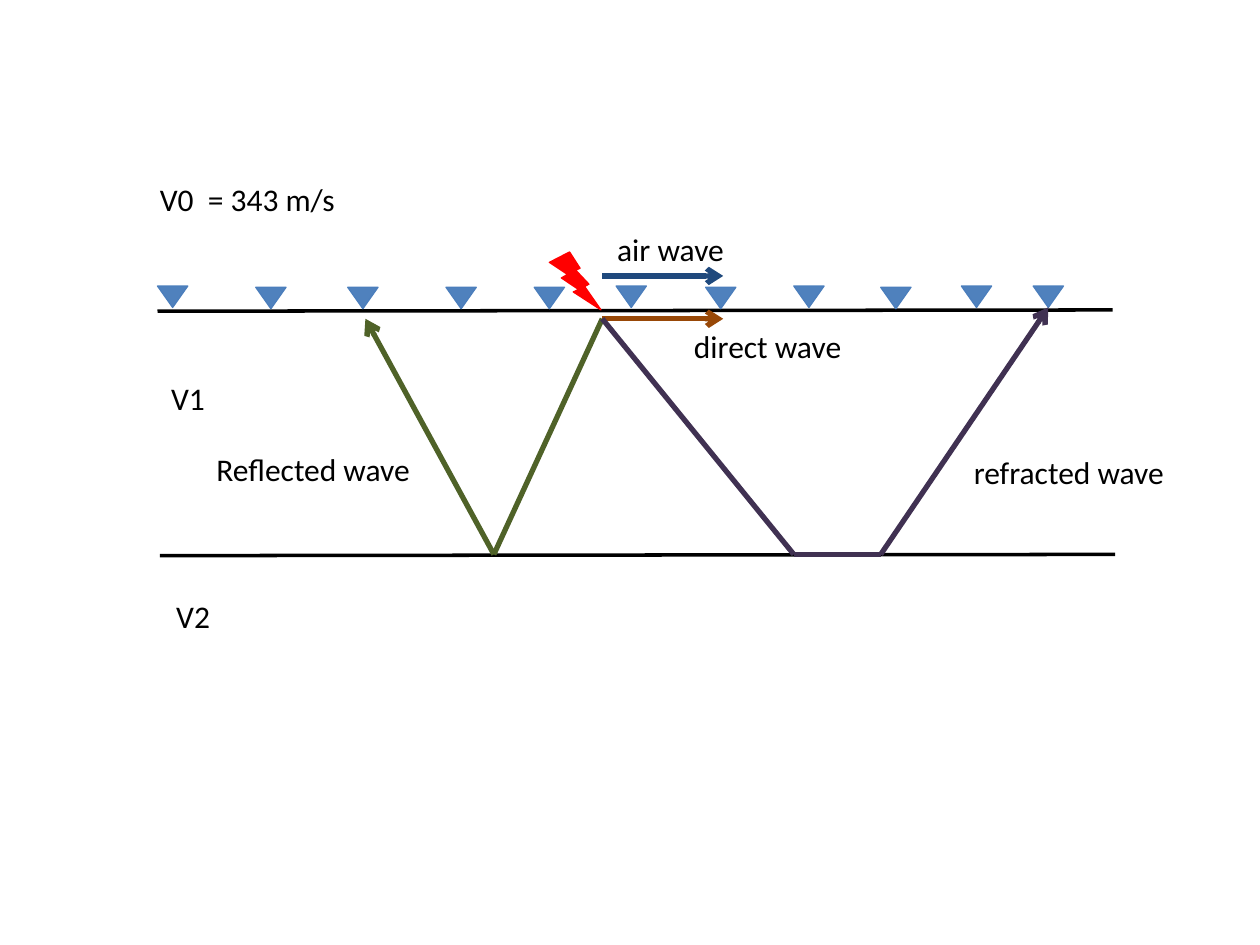
from itertools import pairwise

from lxml.etree import SubElement
from pptx import Presentation
from pptx.dml.color import RGBColor
from pptx.enum.shapes import MSO_CONNECTOR, MSO_SHAPE
from pptx.enum.text import MSO_AUTO_SIZE
from pptx.oxml.ns import qn
from pptx.util import Inches, Pt


def color(code):
    return RGBColor.from_string(code)


def draw_line(slide, start, end, code, width, arrow=False):
    line = slide.shapes.add_connector(
        MSO_CONNECTOR.STRAIGHT, *map(Inches, (*start, *end)))
    line.line.color.rgb = color(code)
    line.line.width = Pt(width)
    if arrow:
        SubElement(line.line._get_or_add_ln(), qn("a:tailEnd"), type="arrow")
    SubElement(line._element.spPr, qn("a:effectLst"))


def draw_shape(slide, kind, box, fill, edge):
    shape = slide.shapes.add_shape(kind, *map(Inches, box))
    shape.shadow.inherit = False
    shape.fill.solid()
    shape.fill.fore_color.rgb = color(fill)
    shape.line.color.rgb = color(edge)
    shape.line.width = Pt(0.75)
    return shape


def draw_ground(slide, box):
    """Surface and lower boundary, each rising slightly to the right."""
    left, top, width, depth = box
    for x, y in ((left, top), (left + 0.02, top + depth)):
        draw_line(slide, (x, y), (x + width, y - 0.01), "000000", 2)


def draw_spread(slide, box):
    """Geophones along the surface, and the shot."""
    left, top, width, height = box
    raised = (0, 3.64, 5.05, 6.38, 6.95)
    level = (0.78, 1.51, 2.29, 2.99, 4.35, 5.74)
    for places, drop in ((raised, 0), (level, 0.01)):
        for x in places:
            phone = draw_shape(
                slide, MSO_SHAPE.ISOSCELES_TRIANGLE,
                (left + x, top + drop, width, height), "4F81BD", "4B7EBC")
            phone.rotation = 180
    draw_shape(slide, MSO_SHAPE.LIGHTNING_BOLT,
               (left + 3.11, top - 0.27, 0.41, 0.46), "FF0000", "FF0000")


def draw_waves(slide, box):
    """Wave paths; the shot point lies inside the box."""
    left, top, width, depth = box
    shot = left + 1.88
    floor = top + depth
    right = left + width

    # Direct wave and air wave
    for y, code in ((top, "984807"), (top - 0.34, "1F497D")):
        draw_line(slide, (shot, y), (shot + 0.96, y), code, 3, arrow=True)

    # Reflected and refracted waves, ending in an arrow
    reflected = [(shot, top), (left + 1.02, floor), (left, top)]
    refracted = [(shot, top), (left + 3.4, floor),
                 (left + 4.09, floor), (right, top - 0.09)]
    for route, code in ((reflected, "4F6228"), (refracted, "403152")):
        for start, end in pairwise(route):
            draw_line(slide, start, end, code, 3, arrow=end == route[-1])


def draw_labels(slide, box):
    left, top, _, height = box
    labels = [
        ("air wave", 3.63, 0.4, 1.07),
        ("direct wave", 4.24, 1.17, 1.4),
        ("refracted wave", 6.46, 2.17, 1.75),
        ("Reflected wave", 0.45, 2.14, 1.77),
        ("V1", 0.09, 1.58, 0.47),
        ("V2", 0.13, 3.31, 0.47),
        ("V0  = 343 m/s", 0, 0, 1.61),
    ]
    for text, x, y, width in labels:
        frame = slide.shapes.add_textbox(
            *map(Inches, (left + x, top + y, width, height))).text_frame
        frame.word_wrap = False
        frame.auto_size = MSO_AUTO_SIZE.SHAPE_TO_FIT_TEXT
        para = frame.paragraphs[0]
        para.text = text
        para.font.name = "Calibri"
        para.font.size = Pt(18)
        para.font.color.rgb = color("000000")


def main():
    deck = Presentation()
    deck.slide_width, deck.slide_height = Inches(10), Inches(7.5)
    slide = deck.slides.add_slide(deck.slide_layouts[6])
    draw_ground(slide, (1.25, 2.47, 7.58, 1.94))
    draw_spread(slide, (1.25, 2.27, 0.24, 0.17))  # box of the first geophone
    draw_waves(slide, (2.9, 2.53, 5.42, 1.87))
    draw_labels(slide, (1.17, 1.38, 8.21, 0.4))  # height of one label
    deck.save("out.pptx")


if __name__ == "__main__":
    main()
